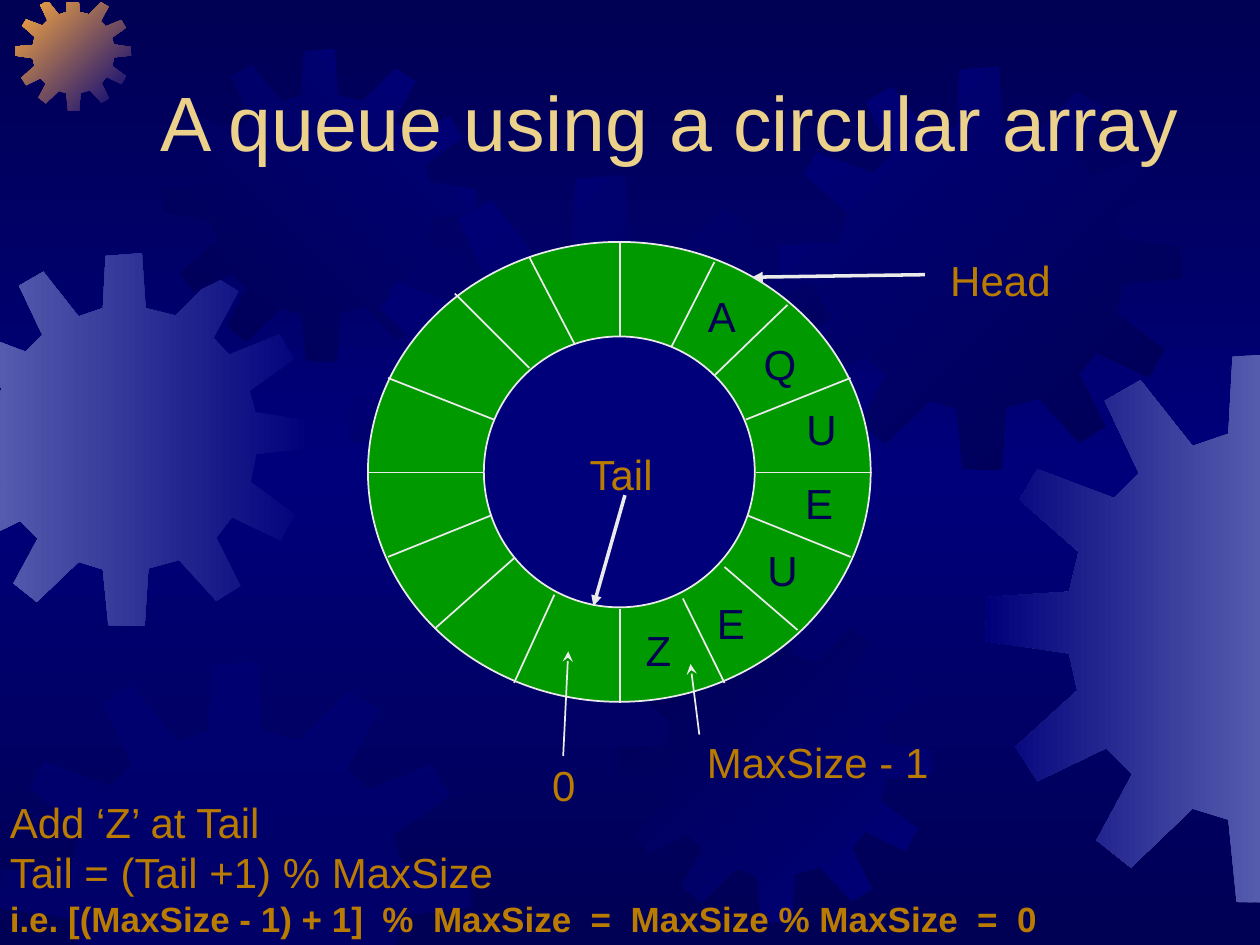
from copy import deepcopy

from pptx import Presentation
from pptx.dml.color import RGBColor
from pptx.enum.shapes import MSO_CONNECTOR as CONNECTOR, MSO_SHAPE as SHAPE
from pptx.enum.text import MSO_ANCHOR as ANCHOR, MSO_AUTO_SIZE as AUTO_SIZE, PP_ALIGN as ALIGN
from pptx.oxml.ns import qn
from pptx.oxml.xmlchemy import OxmlElement
from pptx.util import Inches, Pt

NAVY, BLUE, LILAC, ORANGE = "000054", "00007A", "555BAD", "FCAB40"
GREEN, WHITE, GOLD, CREAM = "009900", "EAEAEA", "B97C01", "EBD189"

# Gear outline on a 401-unit square
GEAR_SIZE = 401
GEAR = [
    (255, 67), (223, 59), (219, 0), (180, 3), (177, 59), (151, 68), (113, 20), (87, 35),
    (112, 88), (94, 106), (38, 85), (25, 107), (68, 145), (61, 174), (1, 178), (0, 210),
    (61, 219), (67, 246), (22, 287), (38, 312), (88, 288), (107, 307), (81, 355), (106, 375),
    (151, 332), (177, 340), (183, 400), (222, 401), (226, 339), (259, 330), (299, 374),
    (325, 358), (299, 306), (316, 284), (368, 309), (384, 281), (336, 246), (342, 216),
    (401, 210), (400, 180), (341, 171), (335, 148), (383, 114), (367, 87), (313, 109),
    (296, 91), (323, 41), (297, 25),
]

# Left, top, size, gradient colours, clockwise angle
GEARS = [
    (-0.49, 2.01, 2.96, (BLUE, LILAC), 180),
    (0.12, -0.04, 0.92, (BLUE, ORANGE), 225),
    (1.3, 0.39, 2.48, (BLUE, NAVY), 135),
    (2.77, 1.39, 4.01, (NAVY, BLUE), 225),
    (0, 5.25, 3.74, (BLUE,), 0),
    (4.91, 4.84, 2.48, (BLUE, NAVY), 225),
    (6.18, 0.53, 3.2, (NAVY, BLUE), 225),
    (7.82, 2.8, 4.37, (LILAC, BLUE), 180),
]

# Cell borders of the ring, from the inner to the outer circle
SPOKES = [
    (4.92, 2.67, 4.92, 1.92), (5.33, 2.75, 5.67, 2.08), (5.67, 2.98, 6.25, 2.42),
    (5.92, 3.33, 6.75, 3), (6, 3.75, 6.92, 3.75), (5.93, 4.09, 6.75, 4.42),
    (5.75, 4.5, 6.33, 5), (5.42, 4.75, 5.75, 5.42), (4.92, 4.83, 4.92, 5.58),
    (4.4, 4.72, 4.08, 5.42), (4.08, 4.43, 3.45, 4.99), (3.9, 4.09, 3.08, 4.42),
    (3.83, 3.75, 2.92, 3.75), (3.92, 3.33, 3.08, 3), (4.2, 2.92, 3.61, 2.33),
    (4.56, 2.73, 4.2, 2.04),
]

POINTERS = [
    (5.55, 5.83, 5.48, 5.27, 1, "stealth"),
    (4.47, 6, 4.51, 5.17, 1, "stealth"),
    (4.96, 3.93, 4.71, 4.81, 2, "triangle"),
    (7.34, 2.18, 5.97, 2.2, 2, "triangle"),
]

LABELS = [
    ("MaxSize - 1", 5.51, 5.8, 1.96), ("Tail", 4.56, 3.51, 0.74),
    ("Head", 7.44, 1.97, 1), ("0", 4.28, 5.98, 0.39),
]

ITEMS = [
    ("A", 5.52, 2.26, 0.42), ("Q", 5.96, 2.64, 0.46), ("U", 6.3, 3.15, 0.44),
    ("E", 6.29, 3.74, 0.42), ("U", 5.99, 4.27, 0.44), ("E", 5.59, 4.69, 0.42),
    ("Z", 5.02, 4.91, 0.41),
]

NOTES = [
    ("Add ‘Z’ at Tail", {}),
    ("Tail = (Tail +1) % MaxSize", {}),
    ("i.e. [(MaxSize - 1) + 1]  %  MaxSize  =  MaxSize % MaxSize  =  0",
     {"size": Pt(20), "bold": True}),
]


def rgb(colour):
    return RGBColor.from_string(colour)


def clip(points, axis, limit, sign):
    """Keep the part of a polygon where sign * coordinate >= sign * limit."""
    kept = []
    for start, end in zip(points[-1:] + points[:-1], points):
        start_gap, end_gap = (sign * (point[axis] - limit) for point in (start, end))
        if (start_gap < 0) != (end_gap < 0):
            part = start_gap / (start_gap - end_gap)
            kept.append(tuple(a + part * (b - a) for a, b in zip(start, end)))
        if end_gap >= 0:
            kept.append(end)
    return kept


class SlideBuilder:
    font = "Arial"
    size = Pt(24)

    def __init__(self, deck):
        self.page = deck.slides.add_slide(deck.slide_layouts[5])
        self.shapes = self.page.shapes

    def gradient(self, fill, colours, angle):
        fill.gradient()
        fill.gradient_angle = (360 - angle) % 360
        for stop, colour in zip(fill.gradient_stops, colours):
            stop.color.rgb = rgb(colour)

    def background(self, edge, middle):
        """Fill the page from edge to middle and back to edge."""
        self.gradient(self.page.background.fill, (edge, middle), 90)
        stops = self.page.element.find(".//" + qn("a:gsLst"))
        stops.append(deepcopy(stops[0]))
        for stop, position in zip(stops, (0, 50000, 100000)):
            stop.set("pos", str(position))

    def gear(self, left, top, size, colours, angle):
        scale = size / GEAR_SIZE
        points = [(left + x * scale, top + y * scale) for x, y in GEAR]
        for axis, limit, sign in ((0, 0, 1), (0, 10, -1), (1, 0.02, 1), (1, 7.5, -1)):
            points = clip(points, axis, limit, sign)
        points = [(Inches(x), Inches(y)) for x, y in points]
        outline = self.shapes.build_freeform(*points[0])
        outline.add_line_segments(points[1:])
        gear = outline.convert_to_shape()
        gear.shadow.inherit = False
        gear.line.fill.background()
        if len(colours) > 1:
            self.gradient(gear.fill, colours, angle)
        else:
            gear.fill.solid()
            gear.fill.fore_color.rgb = rgb(colours[0])
            alpha = OxmlElement("a:alpha")
            alpha.set("val", "50000")
            gear.element.find(".//" + qn("a:srgbClr")).append(alpha)

    def circle(self, left, top, width, height, colour):
        circle = self.shapes.add_shape(SHAPE.OVAL, *map(Inches, (left, top, width, height)))
        circle.shadow.inherit = False
        circle.fill.solid()
        circle.fill.fore_color.rgb = rgb(colour)
        circle.line.color.rgb = rgb(WHITE)
        circle.line.width = Pt(1)

    def line(self, x1, y1, x2, y2, width=1, head=None):
        line = self.shapes.add_connector(CONNECTOR.STRAIGHT, *map(Inches, (x1, y1, x2, y2)))
        line.line.color.rgb = rgb(WHITE)
        line.line.width = Pt(width)
        if head:
            end = OxmlElement("a:tailEnd")
            end.set("type", head)
            line.element.spPr.find(qn("a:ln")).append(end)
        line.element.spPr.append(OxmlElement("a:effectLst"))

    def add_span(self, paragraph, text, colour, align, **changes):
        span = paragraph.add_run()
        span.text = text
        paragraph.alignment = align
        span.font.color.rgb = rgb(colour)
        for name, value in ({"name": self.font, "size": self.size} | changes).items():
            setattr(span.font, name, value)

    def title(self, text, left, top, width, height):
        title = self.shapes.title
        self.shapes.element.append(title.element)  # in front of the gears
        title.left, title.top, title.width, title.height = map(Inches, (left, top, width, height))
        frame = title.text_frame
        frame.auto_size = AUTO_SIZE.NONE
        frame.vertical_anchor = ANCHOR.MIDDLE
        self.add_span(frame.paragraphs[0], text, CREAM, ALIGN.LEFT, size=Pt(44))

    def text(self, lines, left, top, width, height, colour, align=ALIGN.CENTER, wrap=False):
        box = self.shapes.add_textbox(*map(Inches, (left, top, width, height)))
        frame = box.text_frame
        frame.word_wrap = wrap
        for index, (line, changes) in enumerate(lines):
            paragraph = frame.add_paragraph() if index else frame.paragraphs[0]
            self.add_span(paragraph, line, colour, align, **changes)


def main():
    deck = Presentation()
    deck.slide_width, deck.slide_height = Inches(10), Inches(7.5)
    slide = SlideBuilder(deck)
    slide.background(NAVY, BLUE)
    for gear in GEARS:
        slide.gear(*gear)
    slide.title("A queue using a circular array", 1.17, 0.33, 8.5, 1.25)
    slide.circle(2.92, 1.92, 3.99, 3.65, GREEN)
    slide.circle(3.84, 2.67, 2.15, 2.15, BLUE)
    for line in SPOKES + POINTERS:
        slide.line(*line)
    for colour, labels in ((GOLD, LABELS), (NAVY, ITEMS)):
        for label, left, top, width in labels:
            slide.text([(label, {})], left, top, width, 0.5, colour)
    slide.text(NOTES, -0.02, 6.27, 8.36, 1.23, GOLD, ALIGN.LEFT, wrap=True)
    deck.save("out.pptx")


if __name__ == "__main__":
    main()
